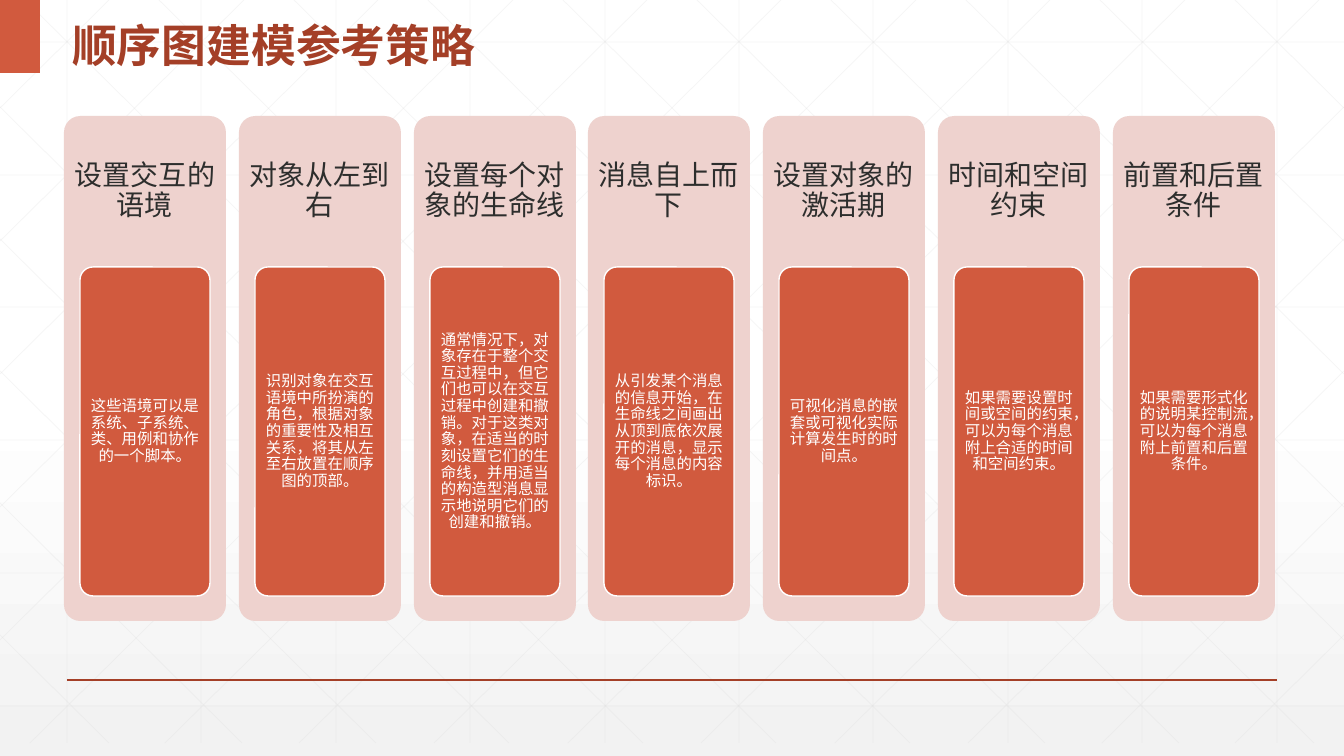
from lxml import etree
from pptx import Presentation
from pptx import util as u
from pptx.dml.color import RGBColor
from pptx.enum import shapes, text
from pptx.oxml.ns import qn

WIDTH, HEIGHT = 1344, 756
GRID_BOTTOM = 743
GRID_STEP = 134.4
CARD_STEP = 174.83

STEPS = [
    ("设置交互的语境", "这些语境可以是系统、子系统、类、用例和协作的一个脚本。"),
    ("对象从左到右", "识别对象在交互语境中所扮演的角色，根据对象的重要性及相互关系，"
                 "将其从左至右放置在顺序图的顶部。"),
    ("设置每个对象的生命线", "通常情况下，对象存在于整个交互过程中，但它们也可以在交互过程中"
                      "创建和撤销。对于这类对象，在适当的时刻设置它们的生命线，并用适当的"
                      "构造型消息显示地说明它们的创建和撤销。"),
    ("消息自上而下", "从引发某个消息的信息开始，在生命线之间画出从顶到底依次展开的消息，"
                 "显示每个消息的内容标识。"),
    ("设置对象的激活期", "可视化消息的嵌套或可视化实际计算发生时的时间点。"),
    ("时间和空间约束", "如果需要设置时间或空间的约束，可以为每个消息附上合适的时间和空间约束。"),
    ("前置和后置条件", "如果需要形式化的说明某控制流，可以为每个消息附上前置和后置条件。"),
]


def px(value):
    return u.Emu(round(value * 12192000 / WIDTH))


def color(value):
    return RGBColor.from_string(value)


class Slide:
    BODY_FONT = "Arial"
    CJK_FONT = "Noto Sans CJK SC"
    ACCENT, DARK_ACCENT, PALE = "D15A3E", "A43F27", "EED2CE"
    INK, WHITE, GRID = "2D2E2D", "FFFFFF", "D9D9D9"

    def __init__(self, deck):
        self.page = deck.slides.add_slide(deck.slide_layouts[5])

    def background(self, top, bottom):
        fill = self.page.background.fill
        fill.gradient()
        fill.gradient_angle = 270
        for stop, position, value in zip(fill.gradient_stops, (0.53, 1), (top, bottom)):
            stop.position = position
            stop.color.rgb = color(value)

    def line(self, x1, y1, x2, y2, value, points, opacity=100):
        line = self.page.shapes.add_connector(
            shapes.MSO_CONNECTOR.STRAIGHT, px(x1), px(y1), px(x2), px(y2))
        line.line.color.rgb = color(value)
        line.line.width = u.Pt(points)
        properties = line._element.spPr
        if opacity < 100:
            tint = properties.find(".//" + qn("a:srgbClr"))
            etree.SubElement(tint, qn("a:alpha")).set("val", str(opacity * 1000))
        etree.SubElement(properties, qn("a:effectLst"))

    def shape(self, kind, x, y, w, h, fill, outline=None):
        shape = self.page.shapes.add_shape(kind, px(x), px(y), px(w), px(h))
        shape.shadow.inherit = False
        shape.fill.solid()
        shape.fill.fore_color.rgb = color(fill)
        if outline:
            shape.line.color.rgb = color(outline)
            shape.line.width = u.Pt(1)
        else:
            shape.line.fill.background()
        return shape

    def panel(self, x, y, w, h, fill, outline=None):
        panel = self.shape(shapes.MSO_SHAPE.ROUNDED_RECTANGLE, x, y, w, h, fill, outline)
        panel.adjustments[0] = 0.1
        return panel

    def text_box(self, x, y, w, h):
        return self.page.shapes.add_textbox(px(x), px(y), px(w), px(h))

    def set_text(self, box, words, size, value, insets, spacing=0.9, font=BODY_FONT,
                 bold=False, align=text.PP_ALIGN.CENTER):
        """Fill a box with one vertically centred paragraph; insets are (side, top) px."""
        frame = box.text_frame
        frame.word_wrap = True
        frame.auto_size = text.MSO_AUTO_SIZE.NONE
        frame.vertical_anchor = text.MSO_ANCHOR.MIDDLE
        frame.margin_left = frame.margin_right = px(insets[0])
        frame.margin_top = frame.margin_bottom = px(insets[1])
        para = frame.paragraphs[0]
        para.text = words
        para.alignment = align
        para.line_spacing = spacing
        para.space_before = u.Pt(0)
        para.font.size = u.Pt(size)
        para.font.bold = bold
        para.font.color.rgb = color(value)
        para.font.name = font
        defaults = para._p.pPr.find(qn("a:defRPr"))
        etree.SubElement(defaults, qn("a:ea")).set("typeface", self.CJK_FONT)

    def title(self, words, x, y, w, h):
        title = self.page.shapes.title
        title.left, title.top, title.width, title.height = px(x), px(y), px(w), px(h)
        self.set_text(title, words, 32, self.DARK_ACCENT, (8, 0), spacing=1.3,
                      font=self.CJK_FONT, bold=True, align=text.PP_ALIGN.LEFT)
        title.element.getparent().append(title.element)

    def grid_line(self, x1, y1, x2, y2):
        self.line(x1, y1, x2, y2, self.GRID, 0.5, opacity=25)

    def grid(self):
        for column in range(10):
            x = round(67 + GRID_STEP * column)
            self.grid_line(x, 0, x, GRID_BOTTOM)
        for row in range(6):
            y = round(42 + 132.7 * row)
            self.grid_line(0, y, WIDTH, y)
        run = 751
        slope = GRID_BOTTOM / run
        for diagonal in range(-5, 10):
            start = 25 + diagonal * (GRID_STEP if diagonal > 0 else 133.4)
            x1, x2 = max(start, 0), min(start + run, WIDTH)
            y1, y2 = round((x1 - start) * slope), round((x2 - start) * slope)
            x1, x2 = round(x1), round(x2)
            self.grid_line(x1, y1, x2, y2)
            self.grid_line(WIDTH - x1, y1, WIDTH - x2, y2)

    def card(self, x, heading, detail):
        self.panel(x, 116, 162, 505, self.PALE)
        self.set_text(self.text_box(x, 116, 162, 151), heading, 20, self.INK, (8, 8))
        panel = self.panel(x + 16, 267, 130, 329, self.ACCENT, self.WHITE)
        self.set_text(panel, detail, 11, self.WHITE, (3, 2))


def main():
    deck = Presentation()
    deck.slide_width, deck.slide_height = px(WIDTH), px(HEIGHT)
    slide = Slide(deck)
    slide.background("FFFFFF", "F2F2F2")
    slide.grid()
    slide.line(67, 680, 1277, 680, slide.DARK_ACCENT, 1)
    slide.shape(shapes.MSO_SHAPE.RECTANGLE, 0, 0, 40, 73, slide.ACCENT)
    slide.title("顺序图建模参考策略", 64, 0, 573, 73)
    for index, (heading, detail) in enumerate(STEPS):
        slide.card(round(64 + CARD_STEP * index), heading, detail)
    deck.save("out.pptx")


if __name__ == "__main__":
    main()
